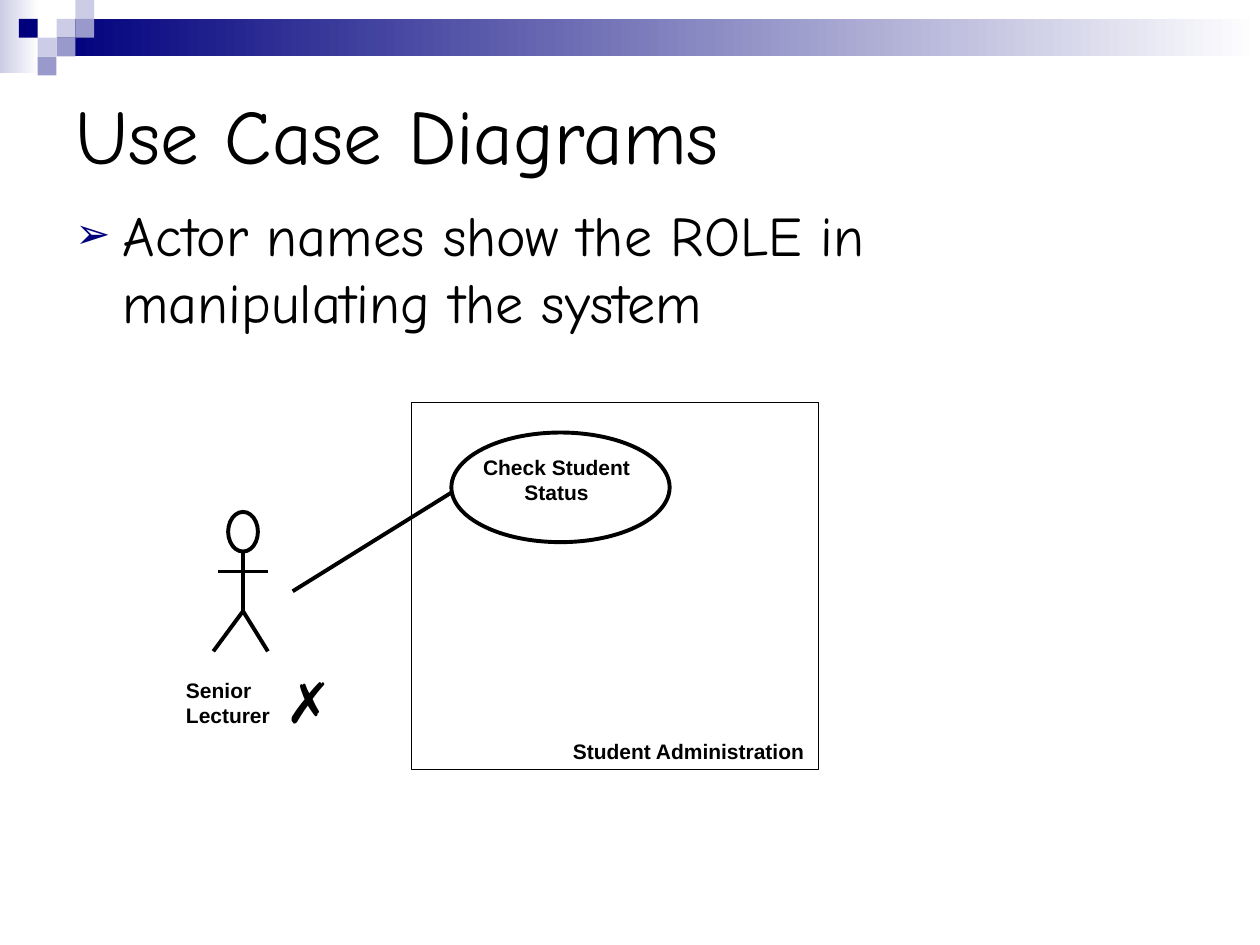
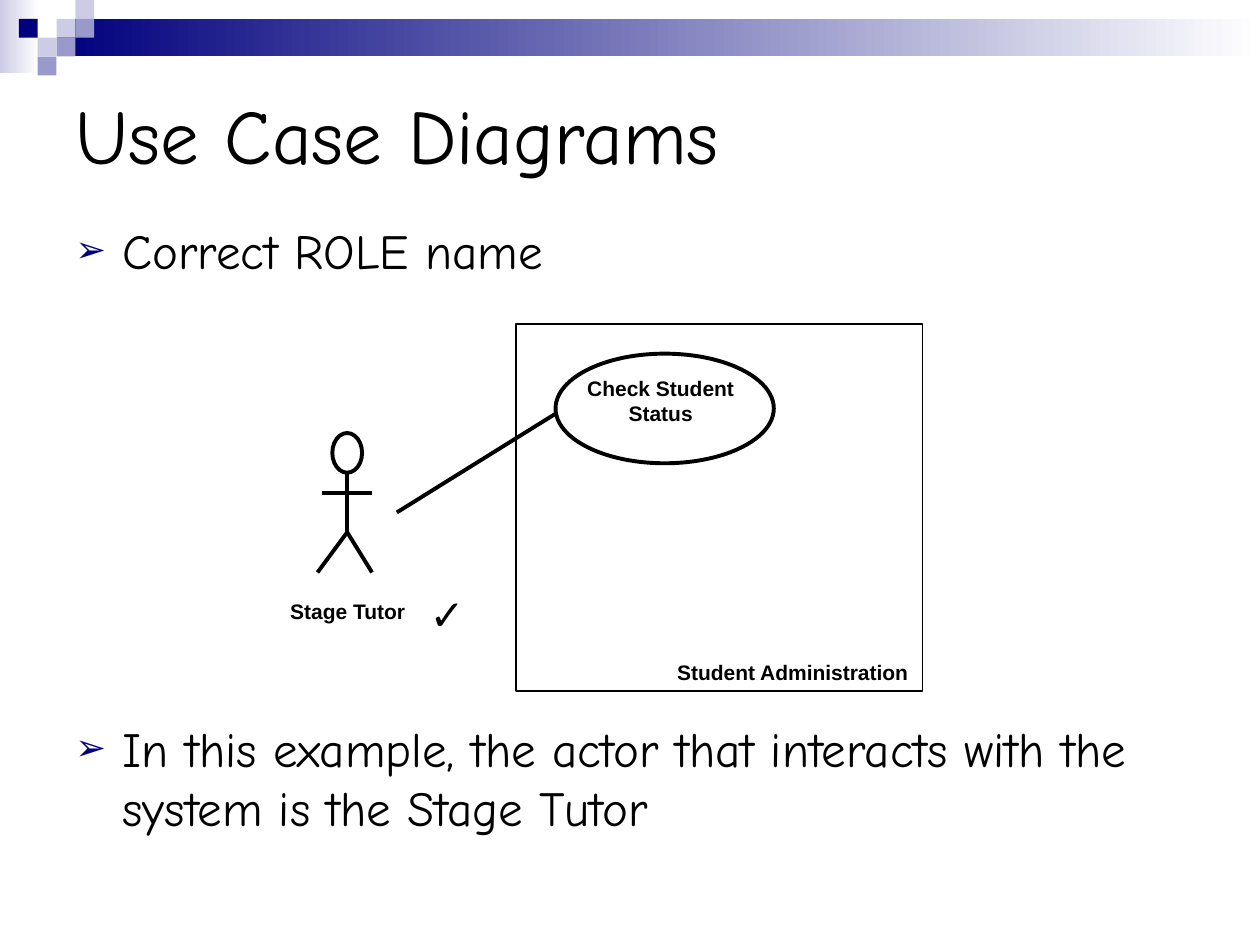
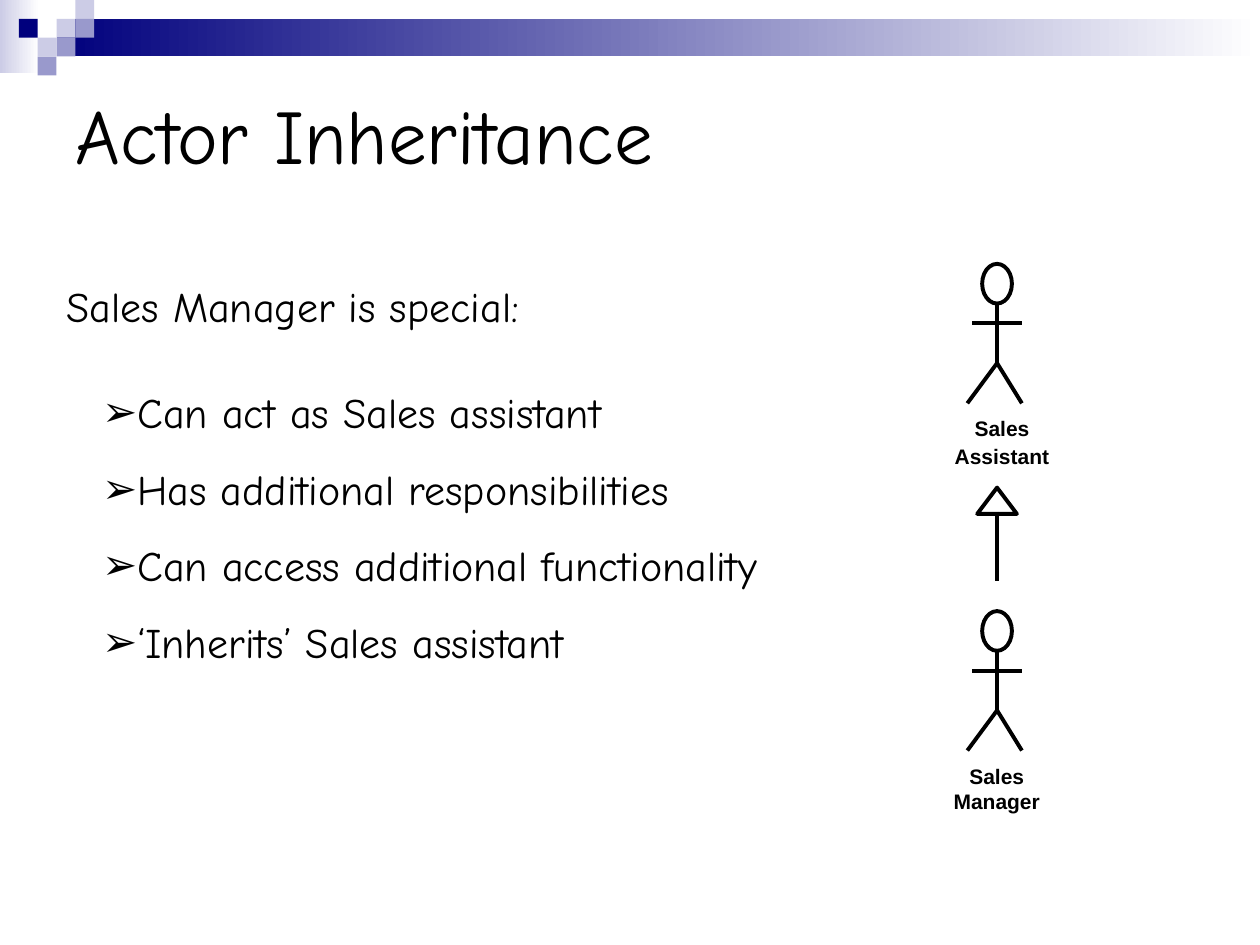
import dataclasses

import lxml.etree
import pptx
import pptx.dml.color
import pptx.enum.shapes
import pptx.enum.text
import pptx.oxml.ns
import pptx.util

Cm = pptx.util.Cm
Pt = pptx.util.Pt
Shape = pptx.enum.shapes.MSO_SHAPE
Align = pptx.enum.text.PP_ALIGN
Anchor = pptx.enum.text.MSO_ANCHOR
qn = pptx.oxml.ns.qn


@dataclasses.dataclass(frozen=True)
class Theme:
    """Colours, fonts and sizes that the slides share."""
    ink: str = "000000"
    navy: str = "00007D"
    mid: str = "9999CC"
    pale: str = "CCCCE6"
    white: str = "FFFFFF"
    script: str = "Comic Neue"
    sans: str = "Arial"
    title: int = 44
    large: int = 32
    body: int = 28
    small: int = 24
    label: int = 12
    thin: float = 0.75
    thick: float = 2.25
    cell: float = 0.38


THEME = Theme()


def tint(code):
    """Turn a hex code into a colour."""
    return pptx.dml.color.RGBColor.from_string(code)


def mark(para, colour, scale, left, hang):
    """Give a paragraph an arrow bullet."""
    props = para._p.get_or_add_pPr()
    props.set("marL", str(Cm(left)))
    props.set("indent", str(Cm(hang)))
    hue = lxml.etree.SubElement(props, qn("a:buClr"))
    lxml.etree.SubElement(hue, qn("a:srgbClr"), val=colour)
    lxml.etree.SubElement(props, qn("a:buSzPct"), val=str(scale * 1000))
    lxml.etree.SubElement(props, qn("a:buFont"), typeface=THEME.sans)
    lxml.etree.SubElement(props, qn("a:buChar"), char="➢")


def write(frame, words, size=THEME.label, font=THEME.sans, bold=False,
          align=Align.LEFT, gap=0, bullet=None):
    """Add one paragraph of formatted text to a frame."""
    para = frame.paragraphs[0] if not frame.text else frame.add_paragraph()
    para.alignment = align
    para.space_before = Pt(gap)
    if bullet:
        mark(para, **bullet)
    run = para.add_run()
    run.text = words
    run.font.size = Pt(size)
    run.font.name = font
    run.font.bold = bold
    run.font.color.rgb = tint(THEME.ink)


def field(shapes, box):
    """Add an empty text box that wraps, and return its frame."""
    frame = shapes.add_textbox(*map(Cm, box)).text_frame
    frame.word_wrap = True
    return frame


def label(shapes, box, *lines, align=Align.LEFT):
    """Add a bold label with a paragraph for each line."""
    frame = field(shapes, box)
    for row, words in enumerate(lines):
        write(frame, words, bold=True, align=align, gap=1.5 if row else 0)


def block(shapes, kind, box):
    """Add a bare shape without shadow or outline."""
    shape = shapes.add_shape(kind, *map(Cm, box))
    shape.shadow.inherit = False
    shape.line.fill.background()
    return shape


def hollow(shapes, kind, box, width=THEME.thick):
    """Add an unfilled outline."""
    shape = block(shapes, kind, box)
    shape.fill.background()
    shape.line.color.rgb = tint(THEME.ink)
    shape.line.width = Pt(width)


def stroke(shapes, *ends):
    """Add a straight thick line from x, y to x, y."""
    straight = pptx.enum.shapes.MSO_CONNECTOR.STRAIGHT
    line = shapes.add_connector(straight, *map(Cm, ends))
    line.line.color.rgb = tint(THEME.ink)
    line.line.width = Pt(THEME.thick)
    lxml.etree.SubElement(line._element.spPr, qn("a:effectLst"))


def fade(shapes, box, colour):
    """Add a bar that fades to white on the right."""
    bar = block(shapes, Shape.RECTANGLE, box)
    bar.fill.gradient()
    bar.fill.gradient_angle = 0
    for stop, code in zip(bar.fill.gradient_stops, (colour, THEME.white)):
        stop.color.rgb = tint(code)


def banner(slide):
    """Draw the band and its squares, and move them to the layout."""
    group = slide.shapes.add_group_shape()
    shapes = group.shapes
    side = THEME.cell
    fade(shapes, (0, 0, 0.79, 1.47), THEME.pale)
    fade(shapes, (3 * side, side, 25.4 - 3 * side, 2 * side), THEME.navy)
    cells = {
        THEME.pale: ((3, 1), (4, 0), (2, 2)),
        THEME.mid: ((4, 1), (3, 2), (2, 3)),
        THEME.navy: ((1, 1),),
    }
    for colour, spots in cells.items():
        for col, row in spots:
            box = (col * side, row * side, side, side)
            tile = block(shapes, Shape.RECTANGLE, box)
            tile.fill.solid()
            tile.fill.fore_color.rgb = tint(colour)
    slide.slide_layout.shapes.element.insert(2, group.element)


def head(slide, words):
    """Place and format the title."""
    title = slide.shapes.title
    title.left, title.top = Cm(1.27), Cm(1.27)
    title.width, title.height = Cm(22.86), Cm(2.84)
    frame = title.text_frame
    frame.auto_size = pptx.enum.text.MSO_AUTO_SIZE.NONE
    frame.vertical_anchor = Anchor.MIDDLE
    write(frame, words, size=THEME.title, font=THEME.script)


def points(slide, box, lines, size, gap=0):
    """Add the bulleted body text."""
    frame = field(slide.shapes, box)
    style = dict(colour=THEME.navy, scale=75, left=0.95, hang=-0.95)
    for row, words in enumerate(lines):
        write(frame, words, size=size, font=THEME.script,
              gap=gap if row else 0, bullet=style)


def actor(slide, x, y):
    """Draw a stick figure with its top left at x, y."""
    shapes = slide.shapes.add_group_shape().shapes
    mid, hip, foot, arm = x + 0.6, y + 2, y + 2.81, y + 1.2
    right = x + 1.1
    hollow(shapes, Shape.OVAL, (x + 0.3, y, 0.6, 0.8))
    stroke(shapes, mid, y + 0.8, mid, hip)
    stroke(shapes, x, foot, mid, hip)
    stroke(shapes, mid, hip, right, foot)
    stroke(shapes, x + 0.1, arm, right, arm)


def usage(slide, x, y, role):
    """Draw an actor linked to a use case in its system."""
    shapes = slide.shapes
    actor(slide, x + 0.8, y + 2.2)
    label(shapes, (x, y + 5.41, 3, 1.27), role)
    hollow(shapes, Shape.RECTANGLE, (x + 4.8, y, 8.2, 7.4), THEME.thin)
    label(shapes, (x + 7.8, y + 6.64, 5.31, 0.76), "Student Administration")
    hollow(shapes, Shape.OVAL, (x + 5.6, y + 0.6, 4.4, 2.21))
    label(shapes, (x + 5.6, y + 0.91, 4.24, 1.27), "Check Student Status",
          align=Align.CENTER)
    stroke(shapes, x + 2.4, y + 3.8, x + 5.6, y + 1.81)


def verdict(slide, box, sign, **style):
    """Add a tick or a cross."""
    write(field(slide.shapes, box), sign, **style)


def family(slide, x, y):
    """Draw the manager that inherits from the assistant."""
    shapes = slide.shapes
    actor(slide, x + 0.61, y)
    label(shapes, (x, y + 2.93, 2.62, 1.32), "Sales", "Assistant",
          align=Align.CENTER)
    arrow = shapes.add_group_shape().shapes
    hollow(arrow, Shape.ISOSCELES_TRIANGLE, (x + 0.81, y + 4.51, 0.8, 0.53))
    stroke(arrow, x + 1.21, y + 5, x + 1.21, y + 6.4)
    actor(slide, x + 0.61, y + 7)
    label(shapes, (x, y + 9.95, 2.41, 1.27), "Sales Manager",
          align=Align.CENTER)


def traits(slide, box):
    """List what makes the manager special."""
    frame = field(slide.shapes, box)
    font = dict(size=THEME.small, font=THEME.script)
    style = dict(colour=THEME.ink, scale=100, left=0.72, hang=0)
    write(frame, "Sales Manager is special:", **font)
    lines = ("Can act as Sales assistant", "Has additional responsibilities",
             "Can access additional functionality",
             "‘Inherits’ Sales assistant")
    for row, words in enumerate(lines):
        write(frame, words, gap=15 if row else 31.6, bullet=style, **font)


def wrong(slide):
    """Fill the slide with the wrong role name."""
    head(slide, "Use Case Diagrams")
    points(slide, (1.27, 3.91, 22.86, 14.81),
           ["Actor names show the ROLE in manipulating the system"],
           THEME.large)
    usage(slide, 3.5, 8.12, "Senior Lecturer")
    verdict(slide, (5.5, 13.33, 2.49, 1.63), "✗", size=THEME.large)


def right(slide):
    """Fill the slide with the correct role name."""
    head(slide, "Use Case Diagrams")
    usage(slide, 5.6, 6.53, "Stage Tutor")
    points(slide, (1.27, 4.32, 22.86, 13.41),
           ["Correct ROLE name",
            "In this example, the actor that interacts with the system "
            "is the Stage Tutor"],
           THEME.body, gap=251)
    verdict(slide, (8.41, 11.73, 1.8, 1.27), "✓", size=THEME.small, bold=True)


def heir(slide):
    """Fill the slide on actor inheritance."""
    head(slide, "Actor Inheritance")
    family(slide, 18.89, 5.32)
    traits(slide, (1.09, 5.54, 16.31, 8.05))


def main():
    """Build and save the deck."""
    deck = pptx.Presentation()
    deck.slide_width, deck.slide_height = Cm(25.4), Cm(19.05)
    layout = deck.slide_layouts[5]
    slides = [deck.slides.add_slide(layout) for _ in range(3)]
    banner(slides[0])
    for fill, slide in zip((wrong, right, heir), slides):
        fill(slide)
    deck.save("out.pptx")


if __name__ == "__main__":
    main()
